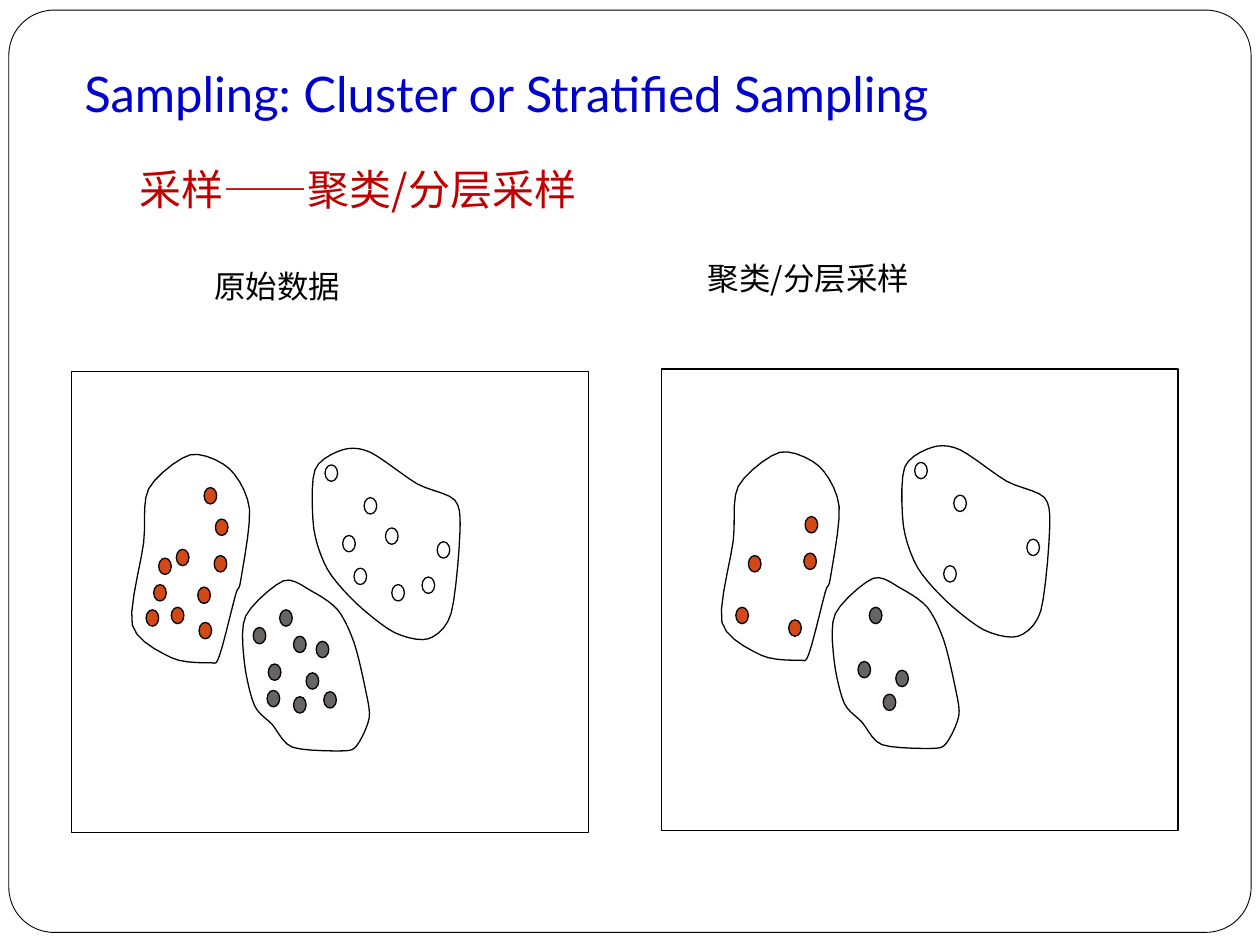
import pptx
import pptx.util
import pptx.dml.color
import pptx.enum.shapes
import pptx.enum.text
from lxml import etree

Inches = pptx.util.Inches
Pt = pptx.util.Pt
SHAPE = pptx.enum.shapes.MSO_SHAPE

COLORS = {"title": "0000CC", "heading": "C00000", "ink": "000000", "paper": "FFFFFF",
          "orange": "D34817", "gray": "696464"}
LATIN, CHINESE = "Lato", "Noto Sans CJK SC"
WIDTH, HEIGHT = 10, 7.5
PANEL = (0.57, 2.95, 4.1, 3.66)
PANEL_SHIFT = (4.68, -0.02)
DOT = (0.1, 0.13)
CURVE_STEPS = 5
TENSION = 0.14

TITLE = "Sampling: Cluster or Stratified Sampling"
LABELS = [
    ("原始数据", (1.6, 2.07, 1.21, 0.4), 18, "ink"),
    ("聚类/分层采样", (5.52, 2.01, 1.84, 0.4), 18, "ink"),
    ("采样——聚类/分层采样", (1.01, 1.25, 3.74, 0.5), 24, "heading"),
]

CLUSTERS = [
    {
        "color": "paper",
        "sampled": [(2.89, 3.95), (2.81, 4.51), (3.47, 4.3), (2.58, 3.69)],
        "skipped": [(3.06, 4.19), (2.72, 4.25), (3.35, 4.58), (3.11, 4.64)],
        "outline": [(3.61, 3.97), (3.65, 4.24), (3.58, 4.87), (3.4, 5.07), (3.13, 5.02),
                    (2.83, 4.79), (2.6, 4.52), (2.49, 4.19), (2.5, 3.73), (2.72, 3.57),
                    (2.94, 3.59), (3.31, 3.84)],
    },
    {
        "color": "gray",
        "sampled": [(2.33, 5.53), (2.43, 5.34), (2.13, 5.27), (2.22, 4.84)],
        "skipped": [(2.01, 4.98), (2.51, 5.09), (2.12, 5.48), (2.33, 5.05), (2.57, 5.49)],
        "outline": [(2.16, 5.75), (2.02, 5.6), (1.94, 5.26), (1.95, 4.89), (2.25, 4.61),
                    (2.47, 4.69), (2.68, 4.84), (2.81, 5.1), (2.9, 5.47), (2.93, 5.7),
                    (2.83, 5.92), (2.71, 5.96), (2.32, 5.93)],
    },
    {
        "color": "orange",
        "sampled": [(1.16, 4.84), (1.26, 4.43), (1.58, 4.94), (1.7, 4.41), (1.71, 4.12)],
        "skipped": [(1.36, 4.82), (1.22, 4.64), (1.57, 4.66), (1.4, 4.36), (1.62, 3.87)],
        "outline": [(1.87, 4.72), (1.74, 5.21), (1.66, 5.26), (1.36, 5.22), (1.05, 4.96),
                    (1.14, 4.31), (1.18, 3.88), (1.51, 3.61), (1.82, 3.72), (1.98, 4.04),
                    (1.91, 4.61)],
    },
]


def rgb(name):
    return pptx.dml.color.RGBColor.from_string(COLORS[name])


def paint(shape, fill=None, weight=0.75):
    shape.shadow.inherit = False
    if fill:
        shape.fill.solid()
        shape.fill.fore_color.rgb = rgb(fill)
    else:
        shape.fill.background()
    shape.line.color.rgb = rgb("ink")
    shape.line.width = Pt(weight)


def add_preset(shapes, kind, place, fill=None, weight=0.75):
    shape = shapes.add_shape(kind, *map(Inches, place))
    paint(shape, fill, weight)
    return shape


def style_span(span, size, color, font):
    span.font.size = Pt(size)
    span.font.name = font
    span.font.color.rgb = rgb(color)
    east = etree.SubElement(span.font._element, pptx.oxml.ns.qn("a:ea"))
    east.set("typeface", font)


def smooth_outline(knots):
    points = []
    for index, knot in enumerate(knots):
        before, after, beyond = (knots[(index + step) % len(knots)] for step in (-1, 1, 2))
        for step in range(CURVE_STEPS):
            t = step / CURVE_STEPS
            point = []
            for a, b, c, d in zip(before, knot, after, beyond):
                leave, arrive = b + (c - a) * TENSION, c - (d - b) * TENSION
                point.append(b * (1 - t) ** 3 + 3 * leave * t * (1 - t) ** 2
                             + 3 * arrive * t ** 2 * (1 - t) + c * t ** 3)
            points.append(tuple(point))
    return points


def add_panel(page, shift, dot_groups):
    def moved(point):
        return point[0] + shift[0], point[1] + shift[1]

    shapes = page.shapes.add_group_shape().shapes
    add_preset(shapes, SHAPE.RECTANGLE, moved(PANEL[:2]) + PANEL[2:])
    for cluster in CLUSTERS:
        for group in dot_groups:
            for dot in cluster[group]:
                add_preset(shapes, SHAPE.FLOWCHART_CONNECTOR, moved(dot) + DOT, cluster["color"])
        points = [tuple(map(Inches, moved(point)))
                  for point in smooth_outline(cluster["outline"])]
        builder = shapes.build_freeform(*points[0])
        builder.add_line_segments(points[1:], close=True)
        paint(builder.convert_to_shape())


def main():
    deck = pptx.Presentation()
    deck.slide_width, deck.slide_height = Inches(WIDTH), Inches(HEIGHT)
    page = deck.slides.add_slide(deck.slide_layouts[5])

    frame = add_preset(page.shapes, SHAPE.ROUNDED_RECTANGLE, (0.07, 0.08, 9.86, 7.32), "paper", 0.5)
    frame.adjustments[0] = 0.049
    title = page.shapes.title
    title._element.addprevious(frame._element)

    title.left, title.top, title.width, title.height = map(Inches, (0.57, 0.42, 8.57, 0.65))
    title.text_frame.text = TITLE
    title.text_frame.vertical_anchor = pptx.enum.text.MSO_ANCHOR.BOTTOM
    title.text_frame.margin_bottom = Inches(0.1)
    title.text_frame.paragraphs[0].alignment = pptx.enum.text.PP_ALIGN.LEFT
    style_span(title.text_frame.paragraphs[0].runs[0], 28, "title", LATIN)

    add_panel(page, (0, 0), ("sampled", "skipped"))
    add_panel(page, PANEL_SHIFT, ("sampled",))

    for text, place, size, color in LABELS:
        box = page.shapes.add_textbox(*map(Inches, place))
        box.text_frame.word_wrap = True
        box.text_frame.text = text
        style_span(box.text_frame.paragraphs[0].runs[0], size, color, CHINESE)

    deck.save("out.pptx")


if __name__ == "__main__":
    main()
